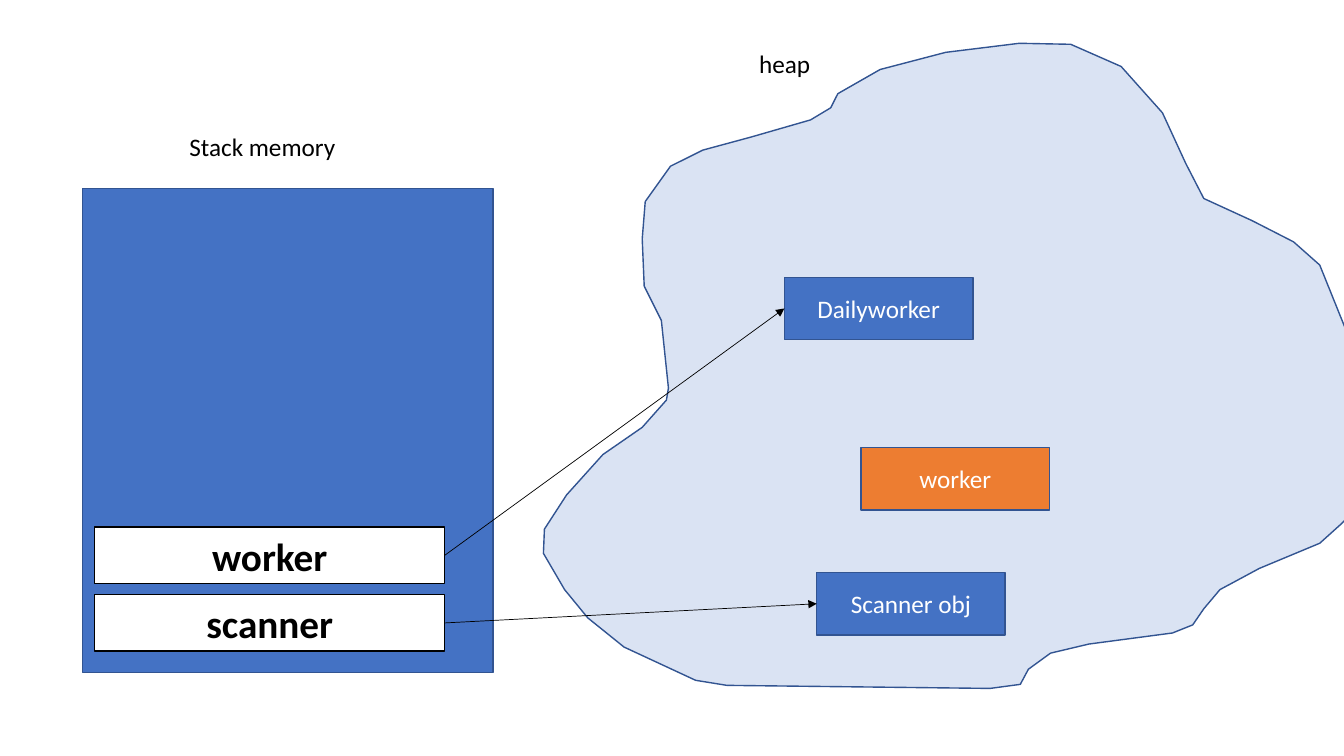
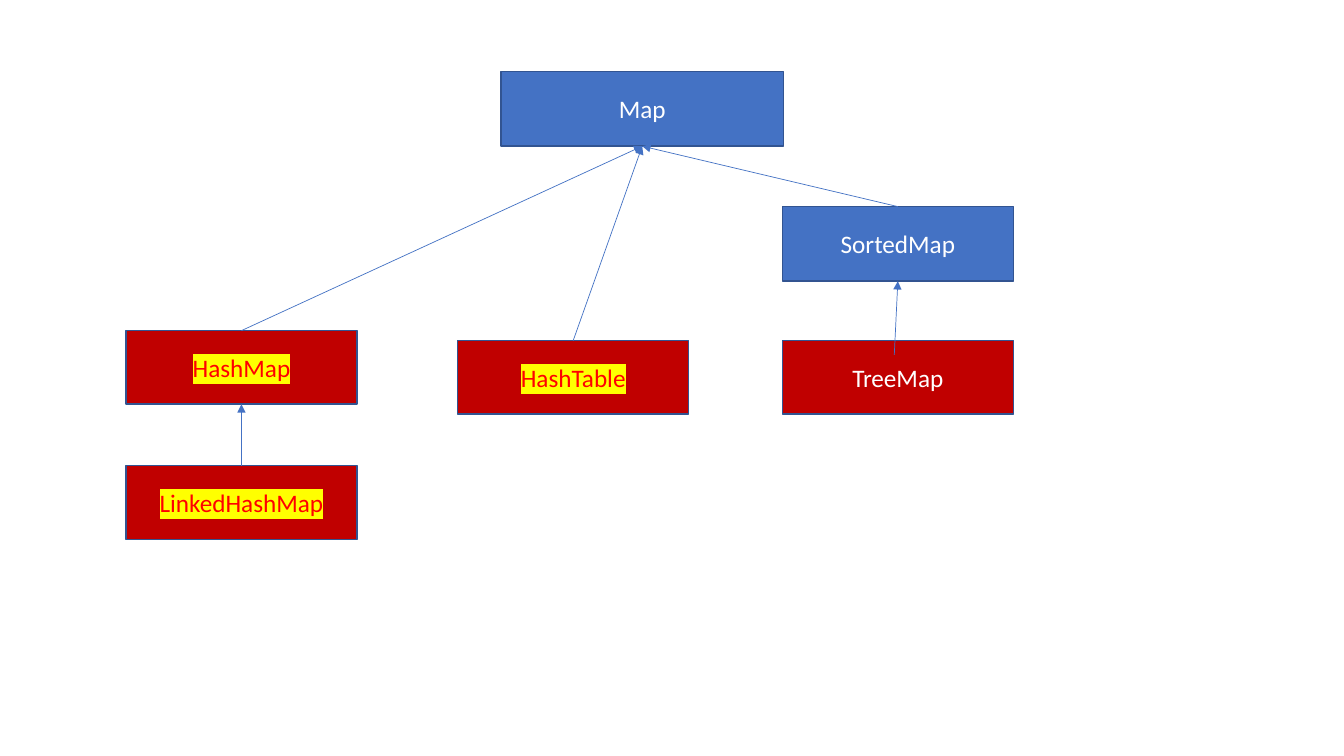
from lxml import etree
from pptx import Presentation
from pptx.dml.color import RGBColor
from pptx.enum.shapes import MSO_CONNECTOR, MSO_SHAPE
from pptx.enum.text import MSO_ANCHOR, MSO_AUTO_SIZE, PP_ALIGN
from pptx.oxml.ns import qn
from pptx.util import Inches, Pt

FONT = "Calibri"
BLUE, NAVY, PALE_BLUE = "4472C4", "325491", "DAE3F3"
ORANGE, DARK_RED, RED, YELLOW = "ED7D31", "C00000", "FF0000", "FFFF00"
BLACK, WHITE = "000000", "FFFFFF"
TOP, LEFT, BOTTOM, RIGHT = range(4)

HEAP_OUTLINE = [
    (9.82, 6.83), (7.21, 6.8), (6.9, 6.75), (6.19, 6.42), (5.83, 6.13),
    (5.6, 5.85), (5.39, 5.49), (5.4, 5.25), (5.62, 4.91), (5.98, 4.51),
    (6.37, 4.24), (6.61, 3.97), (6.63, 3.85), (6.56, 3.18), (6.39, 2.84),
    (6.37, 2.37), (6.4, 2), (6.65, 1.65), (6.97, 1.49), (7.45, 1.36),
    (8.04, 1.19), (8.24, 1.07), (8.31, 0.93), (8.73, 0.69), (9.38, 0.52),
    (10.11, 0.43), (10.62, 0.44), (11.12, 0.66), (11.53, 1.12), (11.76, 1.62),
    (11.94, 1.97), (12.42, 2.19), (12.83, 2.4), (13.09, 2.63), (13.36, 3.3),
    (13.55, 4.45), (13.54, 4.97), (13.29, 5.21), (13.09, 5.39), (12.49, 5.64),
    (12.1, 5.85), (11.94, 6.04), (11.83, 6.2), (11.63, 6.28), (10.8, 6.39),
    (10.42, 6.48), (10.2, 6.64), (10.12, 6.79),
]


def rgb(value):
    """Turn a hex string into a colour."""
    return RGBColor.from_string(value)


def paint(shape, fill, outline):
    """Give a shape a flat fill and a thin outline."""
    shape.shadow.inherit = False
    shape.fill.solid()
    shape.fill.fore_color.rgb = rgb(fill)
    shape.line.color.rgb = rgb(outline)
    shape.line.width = Pt(1)


def write(frame, text, color, size=18, bold=False):
    """Write one styled paragraph and return it."""
    paragraph = frame.paragraphs[0]
    paragraph.text = text
    font = paragraph.font
    font.name, font.size, font.bold = FONT, Pt(size), bold
    font.color.rgb = rgb(color)
    return paragraph


def highlight(paragraph, color):
    """Mark the paragraph's text with a highlighter colour."""
    properties = paragraph.runs[0]._r.get_or_add_rPr()
    marker = etree.SubElement(properties, qn("a:highlight"))
    etree.SubElement(marker, qn("a:srgbClr"), val=color)


def add_box(slide, place, fill, text="", color=WHITE, outline=NAVY, size=18,
            bold=False, marker=None):
    """Add a rectangle with an optional centred label."""
    box = slide.shapes.add_shape(MSO_SHAPE.RECTANGLE, *map(Inches, place))
    paint(box, fill, outline)
    if text:
        box.text_frame.vertical_anchor = MSO_ANCHOR.MIDDLE
        label = write(box.text_frame, text, color, size, bold)
        label.alignment = PP_ALIGN.CENTER
        if marker:
            highlight(label, marker)
    return box


def add_caption(slide, place, text):
    """Add a one-line caption."""
    frame = slide.shapes.add_textbox(*map(Inches, place)).text_frame
    frame.word_wrap = False
    frame.auto_size = MSO_AUTO_SIZE.SHAPE_TO_FIT_TEXT
    write(frame, text, BLACK)


def add_arrow(slide, target, target_side, color, source=None, source_side=TOP,
              start=(0, 0)):
    """Add an arrow from a source box or a free point to a target box."""
    x, y = map(Inches, start)
    arrow = slide.shapes.add_connector(MSO_CONNECTOR.STRAIGHT, x, y, x, y)
    if source is not None:
        arrow.begin_connect(source, source_side)
    arrow.end_connect(target, target_side)
    arrow.line.color.rgb = rgb(color)
    arrow.line.width = Pt(0.5)
    properties = arrow._element.spPr
    etree.SubElement(properties.find(qn("a:ln")), qn("a:tailEnd"), type="triangle")
    etree.SubElement(properties, qn("a:effectLst"))


def add_heap(slide):
    """Add the cloud-like heap area."""
    corners = [tuple(map(Inches, corner)) for corner in HEAP_OUTLINE]
    builder = slide.shapes.build_freeform(*corners[0])
    builder.add_line_segments(corners[1:], close=True)
    paint(builder.convert_to_shape(), PALE_BLUE, NAVY)


def build_memory(slide):
    """Show stack variables pointing at heap objects."""
    add_box(slide, (0.82, 1.87, 4.07, 4.8), BLUE)
    add_caption(slide, (1.78, 1.25, 1.66, 0.4), "Stack memory")
    add_heap(slide)
    add_caption(slide, (7.43, 0.43, 0.72, 0.4), "heap")
    add_box(slide, (8.54, 4.44, 1.87, 0.62), ORANGE, "worker")
    references = [
        ("scanner", 5.9, "Scanner obj", 8.1, 5.68),
        ("worker", 5.23, "Dailyworker", 7.78, 2.75),
    ]
    for variable, top, instance, instance_left, instance_top in references:
        slot = add_box(slide, (0.94, top, 3.47, 0.56), WHITE, variable, BLACK,
                       outline=BLACK, size=28, bold=True)
        heap_object = add_box(slide, (instance_left, instance_top, 1.87, 0.62),
                              BLUE, instance)
        add_arrow(slide, heap_object, LEFT, BLACK, slot, RIGHT)


def build_map_hierarchy(slide):
    """Show the Map interfaces and their implementations."""
    map_root = add_box(slide, (4.97, 0.71, 2.8, 0.74), BLUE, "Map")
    sorted_map = add_box(slide, (7.76, 2.05, 2.29, 0.74), BLUE, "SortedMap")
    add_box(slide, (7.76, 3.38, 2.29, 0.73), DARK_RED, "TreeMap")
    hash_map, linked_map, hash_table = [
        add_box(slide, (left, top, 2.29, 0.73), DARK_RED, name, RED, marker=YELLOW)
        for name, left, top in [
            ("HashMap", 1.25, 3.28),
            ("LinkedHashMap", 1.25, 4.62),
            ("HashTable", 4.54, 3.38),
        ]
    ]
    for child, parent in [(hash_map, map_root), (hash_table, map_root),
                          (linked_map, hash_map), (sorted_map, map_root)]:
        add_arrow(slide, parent, BOTTOM, BLUE, child)
    add_arrow(slide, sorted_map, BOTTOM, BLUE, start=(8.87, 3.52))


def main():
    """Build and save both slides."""
    deck = Presentation()
    deck.slide_width, deck.slide_height = Inches(13.33), Inches(7.5)
    for build in (build_memory, build_map_hierarchy):
        build(deck.slides.add_slide(deck.slide_layouts[6]))
    deck.save("out.pptx")


main()
